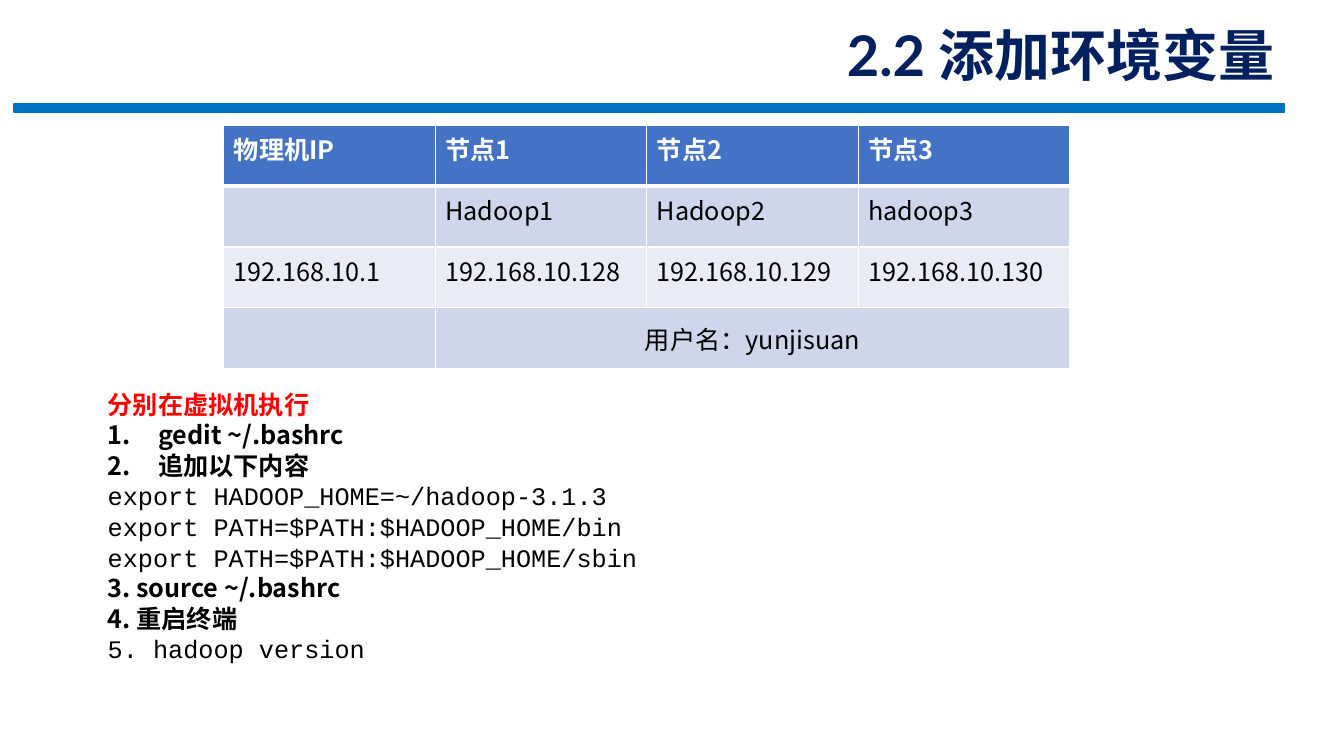
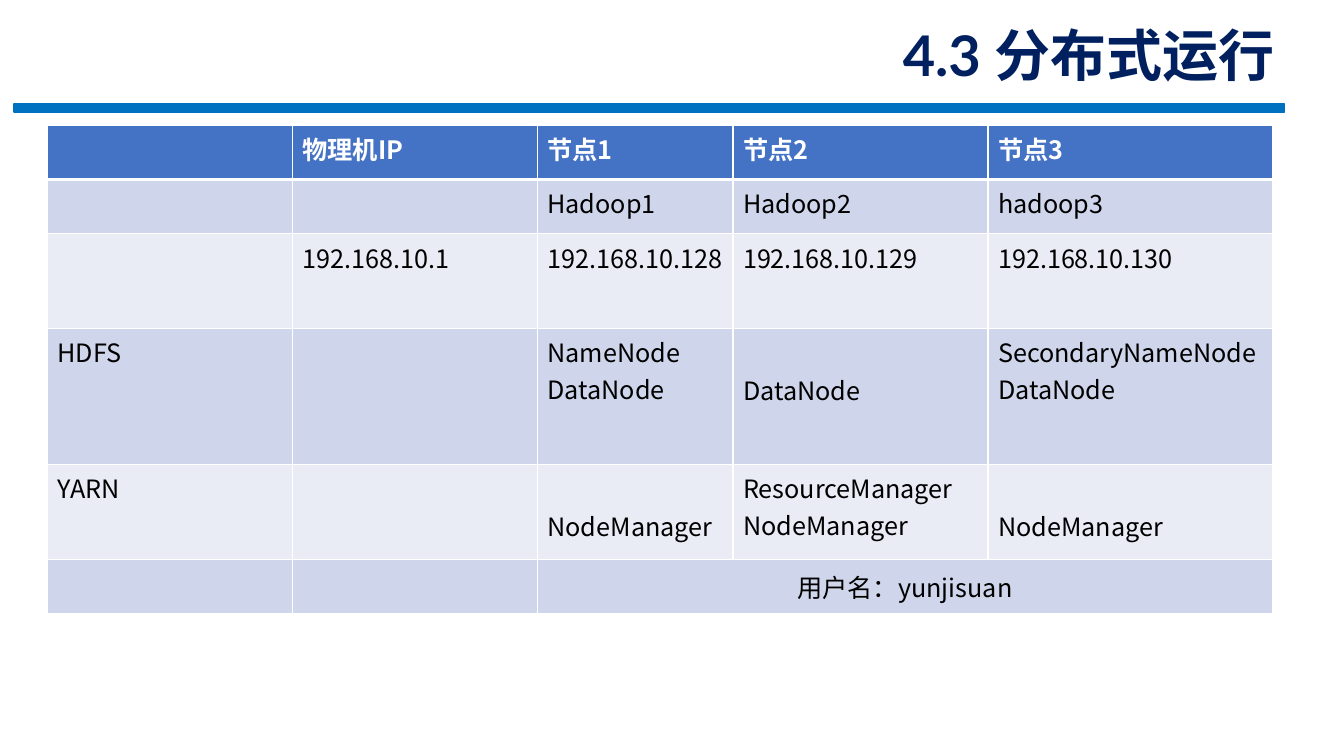
from dataclasses import dataclass

from lxml.etree import SubElement
from pptx import Presentation
from pptx.dml.color import RGBColor
from pptx.enum.shapes import MSO_SHAPE
from pptx.enum.text import MSO_ANCHOR, MSO_AUTO_SIZE, PP_ALIGN
from pptx.oxml import parse_xml
from pptx.oxml.ns import nsdecls, qn
from pptx.util import Inches, Pt


@dataclass(frozen=True)
class Theme:
    navy: str = "002060"
    bar: str = "0070C0"
    head: str = "4472C4"
    bands: tuple = ("E9EBF5", "CFD5EA")
    white: str = "FFFFFF"
    black: str = "000000"
    red: str = "FF0000"
    sans: str = "Noto Sans CJK SC"
    code: str = "Courier New"
    display: str = "Lato"
    big: int = 40
    body: int = 18
    pitch: float = 21.8
    line: float = 0.37
    pad: float = 0.05


class Deck:
    def __init__(self, theme):
        self.theme = theme
        self.prs = Presentation()
        self.prs.slide_width = Inches(13.33)
        self.prs.slide_height = Inches(7.5)
        self.slide = None

    def page(self, text):
        """Start a slide with its title and the bar below it."""
        t = self.theme
        self.slide = self.prs.slides.add_slide(self.prs.slide_layouts[5])
        title = self.slide.shapes.title
        title.left, title.top = Inches(6.41), Inches(0.34)
        title.width, title.height = Inches(6.33), Inches(0.58)
        frame = title.text_frame
        frame.auto_size = MSO_AUTO_SIZE.NONE
        frame.vertical_anchor = MSO_ANCHOR.BOTTOM
        para = frame.paragraphs[0]
        para.alignment = PP_ALIGN.RIGHT
        self.run(para, text, t.navy, True, t.display, t.big)
        bar = self.slide.shapes.add_shape(
            MSO_SHAPE.RECTANGLE, Inches(0.14), Inches(1.03), Inches(12.6), Inches(0.08))
        bar.shadow.inherit = False
        bar.fill.solid()
        bar.fill.fore_color.rgb = RGBColor.from_string(t.bar)
        bar.line.color.rgb = RGBColor.from_string(t.bar)
        bar.line.width = Pt(1)

    def run(self, para, text, color, bold=False, face=None, size=None):
        run = para.add_run()
        run.text = text
        font = run.font
        font.name = face or self.theme.sans
        font.size = Pt(size or self.theme.body)
        font.bold = bold
        font.color.rgb = RGBColor.from_string(color)
        SubElement(run.font._element, qn("a:ea"), typeface=font.name)

    def steps(self, left, top, width, height, lines):
        """Add a text box of (text, style) lines."""
        t = self.theme
        styles = {
            "lead": (t.red, True, t.sans),
            "item": (t.black, True, t.sans),
            "bold": (t.black, True, t.sans),
            "code": (t.black, False, t.code),
        }
        box = self.slide.shapes.add_textbox(
            Inches(left), Inches(top), Inches(width), Inches(height))
        frame = box.text_frame
        frame.word_wrap = True
        for i, (text, style) in enumerate(lines):
            para = frame.add_paragraph() if i else frame.paragraphs[0]
            para.line_spacing = Pt(t.pitch)
            if style == "item":
                props = para._p.get_or_add_pPr()
                props.set("marL", str(Inches(0.5)))
                props.set("indent", str(-Inches(0.5)))
                SubElement(props, qn("a:buFont"), typeface="+mj-lt")
                SubElement(props, qn("a:buAutoNum"), type="arabicPeriod")
            self.run(para, text, *styles[style])

    def table(self, left, top, cols, rows, data):
        """Add a banded table; the last row merges its final three cells."""
        t = self.theme
        grid = self.slide.shapes.add_table(
            len(rows), len(cols), Inches(left), Inches(top),
            Inches(sum(cols)), Inches(sum(rows))).table
        for col, width in zip(grid.columns, cols):
            col.width = Inches(width)
        for row, height in zip(grid.rows, rows):
            row.height = Inches(height)
        for r, texts in enumerate(data):
            for c, text in enumerate(texts):
                cell = grid.cell(r, c)
                cell.fill.solid()
                shade = t.bands[r % 2] if r else t.head
                cell.fill.fore_color.rgb = RGBColor.from_string(shade)
                self.edges(cell, r)
                self.fill(cell, text, r == 0)
        last = len(rows) - 1
        user = grid.cell(last, len(cols) - 3)
        user.merge(grid.cell(last, len(cols) - 1))
        user.vertical_anchor = MSO_ANCHOR.MIDDLE
        user.text_frame.paragraphs[0].alignment = PP_ALIGN.CENTER

    def fill(self, cell, text, head):
        """Write the lines of a cell; a leading break lowers the text by a line."""
        t = self.theme
        if not text:
            return
        lines = text.lstrip("\n").split("\n")
        if text.startswith("\n"):
            cell.margin_top = Inches(t.pad + t.line)
        frame = cell.text_frame
        for i, line in enumerate(lines):
            para = frame.add_paragraph() if i else frame.paragraphs[0]
            self.run(para, line, t.white if head else t.black, head)

    def edges(self, cell, row):
        """Draw white borders, thick between the head and the body."""
        props = cell._tc.get_or_add_tcPr()
        thick = {(0, "B"), (1, "T")}
        for i, side in enumerate("LRTB"):
            width = Pt(3 if (row, side) in thick else 1)
            props.insert(i, parse_xml(
                f'<a:ln{side} {nsdecls("a")} w="{width}"><a:solidFill>'
                f'<a:srgbClr val="{self.theme.white}"/></a:solidFill></a:ln{side}>'))


HEAD = ["物理机IP", "节点1", "节点2", "节点3"]
HOSTS = ["", "Hadoop1", "Hadoop2", "hadoop3"]
ADDRS = ["192.168.10.1", "192.168.10.128", "192.168.10.129", "192.168.10.130"]
USER = ["", "用户名：yunjisuan", "", ""]


def main():
    deck = Deck(Theme())

    deck.page("2.2 添加环境变量")
    deck.table(2.22, 1.24, [8.39 / 4] * 4, [2.42 / 4] * 4, [HEAD, HOSTS, ADDRS, USER])
    deck.steps(0.97, 3.81, 6.67, 2.83, [
        ("分别在虚拟机执行", "lead"),
        ("gedit ~/.bashrc", "item"),
        ("追加以下内容", "item"),
        ("export HADOOP_HOME=~/hadoop-3.1.3", "code"),
        ("export PATH=$PATH:$HADOOP_HOME/bin", "code"),
        ("export PATH=$PATH:$HADOOP_HOME/sbin", "code"),
        ("3. source ~/.bashrc", "bold"),
        ("4. 重启终端", "bold"),
        ("5. hadoop version", "code"),
    ])

    deck.page("4.3 分布式运行")
    deck.table(
        0.47, 1.24, [2.43, 2.43, 1.94, 2.53, 2.82], [0.54, 0.54, 0.94, 1.35, 0.94, 0.54], [
            ["", *HEAD],
            ["", *HOSTS],
            ["", *ADDRS],
            ["HDFS", "", "NameNode\nDataNode", "\nDataNode", "SecondaryNameNode\nDataNode"],
            ["YARN", "", "\nNodeManager", "ResourceManager\nNodeManager", "\nNodeManager"],
            ["", *USER],
        ])

    deck.prs.save("out.pptx")


if __name__ == "__main__":
    main()
